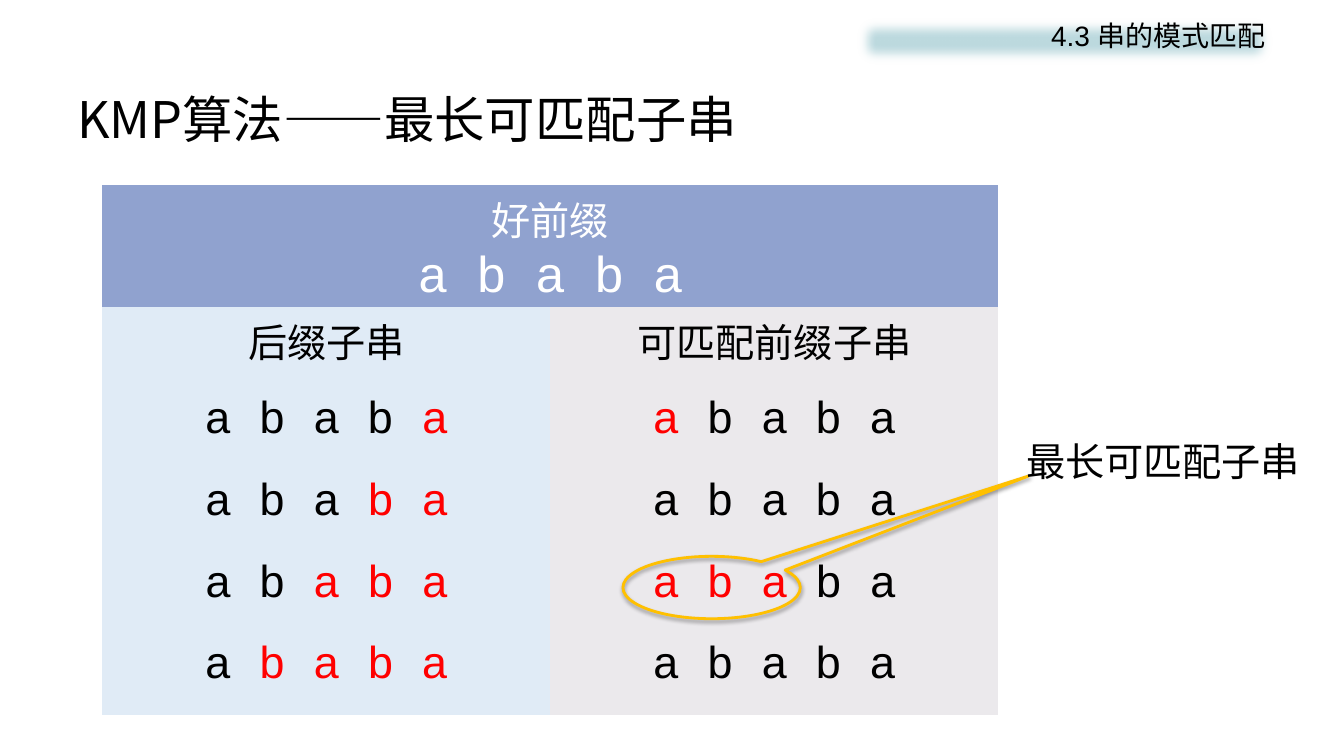
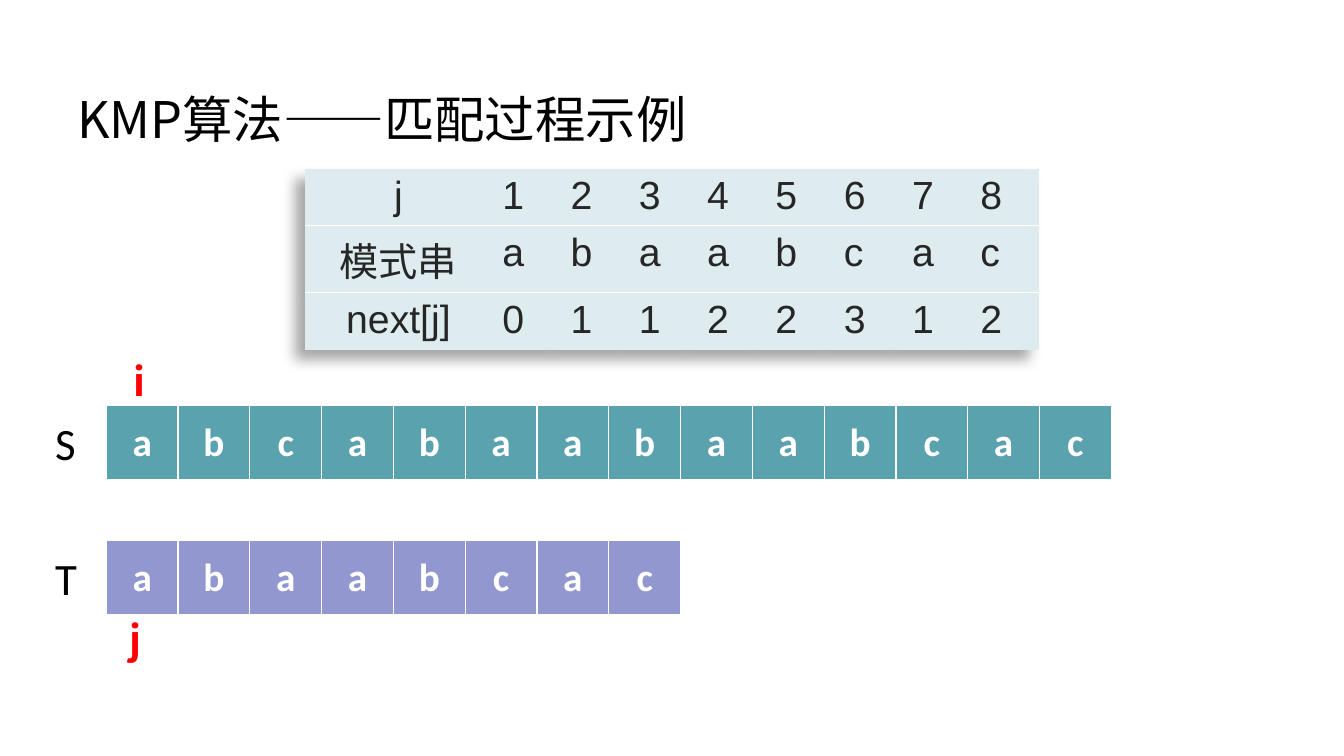
from pptx import Presentation
from pptx.dml.color import RGBColor
from pptx.enum.shapes import MSO_SHAPE
from pptx.enum.text import MSO_ANCHOR, PP_ALIGN
from pptx.oxml import parse_xml
from pptx.oxml.ns import nsdecls, qn
from pptx.util import Pt

BLACK, WHITE, RED, DARK = "000000", "FFFFFF", "FF0000", "262626"
BAND, GOLD = "BDDADF", "FFC000"
HEADER, SUFFIX, PREFIX = "90A2CF", "E0EBF6", "EBE9EC"
NEXT_ROW, TEXT_STRIP, PATTERN_STRIP = "DEECEF", "5AA2AE", "9297CF"
SANS, CJK, LETTER = "Arial", "Noto Sans CJK SC", "Calibri"
NO_STYLE = "{2D5ABB26-0587-4C30-8999-92F81FD0307C}"
CELL_WIDTH = 51.3


def color(hex_value):
    return RGBColor.from_string(hex_value)


def box(left, top, width, height):
    return Pt(left), Pt(top), Pt(width), Pt(height)


def add_run(paragraph, text, size, hex_value=BLACK, font=SANS, bold=False, spacing=0):
    """Add one run; spacing is the extra gap after each letter in points."""
    run = paragraph.add_run()
    run.text = text
    run.font.size = Pt(size)
    run.font.bold = bold
    run.font.name = font
    run.font.color.rgb = color(hex_value)
    properties = run.font.color and run.font.fill and run._r.get_or_add_rPr()
    properties.find(qn("a:latin")).addnext(
        parse_xml(f'<a:ea {nsdecls("a")} typeface="{CJK}"/>'))
    if spacing:
        properties.set("spc", str(spacing * 100))


def add_text(slide, bounds, text, size, hex_value=BLACK, font=SANS, bold=False,
             align=PP_ALIGN.LEFT):
    shape = slide.shapes.add_textbox(*box(*bounds))
    shape.text_frame.word_wrap = True
    paragraph = shape.text_frame.paragraphs[0]
    paragraph.alignment = align
    add_run(paragraph, text, size, hex_value, font, bold)
    return shape


def add_title(slide, topic):
    shape = add_text(slide, (48, 57.6, 864, 54), f"KMP算法——{topic}", 36, font=CJK)
    shape.text_frame.vertical_anchor = MSO_ANCHOR.MIDDLE


def shadow_xml(blur, distance, angle, opacity):
    return (f'<a:outerShdw {nsdecls("a")} blurRad="{Pt(blur)}" dist="{Pt(distance)}" '
            f'dir="{angle * 60000}" algn="t" rotWithShape="0"><a:srgbClr val="{BLACK}">'
            f'<a:alpha val="{opacity * 1000}"/></a:srgbClr></a:outerShdw>')


def add_effect(shape, effect_xml):
    shape.shadow.inherit = False
    shape.element.spPr.find(qn("a:effectLst")).append(parse_xml(effect_xml))


def add_section_band(slide, text):
    shape = slide.shapes.add_shape(MSO_SHAPE.RECTANGLE, *box(609, 10, 302.5, 39))
    shape.fill.solid()
    shape.fill.fore_color.rgb = color(BAND)
    shape.line.fill.background()
    add_effect(shape, f'<a:softEdge {nsdecls("a")} rad="{Pt(9)}"/>')
    shape.text_frame.vertical_anchor = MSO_ANCHOR.TOP
    paragraph = shape.text_frame.paragraphs[0]
    paragraph.alignment = PP_ALIGN.RIGHT
    add_run(paragraph, text, 20)


def add_grid(slide, left, top, widths, heights):
    """Add a table without any built-in style."""
    frame = slide.shapes.add_table(len(heights), len(widths),
                                   *box(left, top, sum(widths), sum(heights)))
    table = frame.table
    table.first_row = table.horz_banding = False
    next(frame.element.iter(qn("a:tableStyleId"))).text = NO_STYLE
    for column, width in zip(table.columns, widths):
        column.width = Pt(width)
    for row, height in zip(table.rows, heights):
        row.height = Pt(height)
    return frame


def fill_cell(cell, hex_value, align=PP_ALIGN.CENTER):
    """Fill a cell and return its first paragraph."""
    cell.fill.solid()
    cell.fill.fore_color.rgb = color(hex_value)
    paragraph = cell.text_frame.paragraphs[0]
    paragraph.alignment = align
    return paragraph


def add_borders(cell_properties, **widths):
    """Draw white borders; sides are L, R, T, B in that order."""
    for position, (side, width) in enumerate(widths.items()):
        cell_properties.insert(position, parse_xml(
            f'<a:ln{side} {nsdecls("a")} w="{Pt(width)}"><a:solidFill>'
            f'<a:srgbClr val="{WHITE}"/></a:solidFill></a:ln{side}>'))


def add_substring_table(slide):
    letters = "a b a b a"
    table = add_grid(slide, 73.2, 132, [320, 320], [87] + [58.3] * 5).table
    header = table.cell(0, 0)
    header.merge(table.cell(0, 1))
    add_run(fill_cell(header, HEADER), "好前缀", 28, WHITE, CJK)
    paragraph = header.text_frame.add_paragraph()
    paragraph.alignment = PP_ALIGN.CENTER
    add_run(paragraph, letters, 36, WHITE, spacing=6)

    fills = (SUFFIX, PREFIX)
    for column, heading in enumerate(("后缀子串", "可匹配前缀子串")):
        add_run(fill_cell(table.cell(1, column), fills[column]), heading, 28)
    for length, matched in enumerate((1, 0, 3, 0), start=1):
        suffix_start = 2 * (5 - length)
        prefix_end = max(2 * matched - 1, 0)
        parts = (((letters[:suffix_start], BLACK), (letters[suffix_start:], RED)),
                 ((letters[:prefix_end], RED), (letters[prefix_end:], BLACK)))
        for column, runs in enumerate(parts):
            paragraph = fill_cell(table.cell(length + 1, column), fills[column])
            for text, hex_value in runs:
                if text:
                    add_run(paragraph, text, 32, hex_value, spacing=6)


def add_callout(slide):
    shape = slide.shapes.add_shape(MSO_SHAPE.OVAL_CALLOUT, *box(445, 397.4, 126.7, 44.6))
    shape.adjustments[0], shape.adjustments[1] = 1.785, -1.786
    shape.fill.background()
    shape.line.color.rgb = color(GOLD)
    shape.line.width = Pt(2)
    add_effect(shape, shadow_xml(3.1, 1.6, 90, 38))
    add_text(slide, (725.8, 309, 217, 41), "最长可匹配子串", 28)


def add_next_table(slide):
    rows = (("j", "12345678"), ("模式串", "abaabcac"), ("next[j]", "01122312"))
    frame = add_grid(slide, 217.6, 120.4, [134] + [48.8] * 8, [38.9, 47.8, 38.9])
    next(frame.element.iter(qn("a:tblPr"))).insert(0, parse_xml(
        f'<a:effectLst {nsdecls("a")}>{shadow_xml(10, 10, 135, 35)}</a:effectLst>'))
    for row, (heading, values) in enumerate(rows):
        for column, text in enumerate((heading, *values)):
            align = PP_ALIGN.LEFT if column else PP_ALIGN.CENTER
            add_run(fill_cell(frame.table.cell(row, column), NEXT_ROW, align),
                    text, 28, DARK)
    for row in list(frame.element.iter(qn("a:tr")))[:-1]:
        for cell_properties in row.iter(qn("a:tcPr")):
            add_borders(cell_properties, B=1)


def add_strip(slide, top, name, letters, hex_value):
    frame = add_grid(slide, 75.9, top, [CELL_WIDTH] * len(letters), [54])
    for column, letter in enumerate(letters):
        cell = frame.table.cell(0, column)
        cell.vertical_anchor = MSO_ANCHOR.MIDDLE
        add_run(fill_cell(cell, hex_value), letter, 28, WHITE, LETTER, bold=True)
    for cell_properties in frame.element.iter(qn("a:tcPr")):
        add_borders(cell_properties, L=1, R=1, T=1, B=3)
    add_text(slide, (32.4, top + 4, 44, 46), name, 32, font=LETTER)


def add_index(slide, left, top, name):
    add_text(slide, (left, top, 43, 41), name, 28, RED, CJK, True, PP_ALIGN.CENTER)


def add_substring_slide(presentation):
    slide = presentation.slides.add_slide(presentation.slide_layouts[6])
    add_title(slide, "最长可匹配子串")
    add_section_band(slide, "4.3 串的模式匹配")
    add_substring_table(slide)
    add_callout(slide)


def add_matching_slide(presentation):
    slide = presentation.slides.add_slide(presentation.slide_layouts[6])
    add_title(slide, "匹配过程示例")
    add_next_table(slide)
    add_strip(slide, 289.6, "S", "abcabaabaabcac", TEXT_STRIP)
    add_strip(slide, 386, "T", "abaabcac", PATTERN_STRIP)
    add_index(slide, 75.6, 436.3, "j")
    add_index(slide, 77.8, 252, "i")


def main():
    presentation = Presentation()
    presentation.slide_width, presentation.slide_height = Pt(960), Pt(540)
    add_substring_slide(presentation)
    add_matching_slide(presentation)
    presentation.save("out.pptx")


if __name__ == "__main__":
    main()
